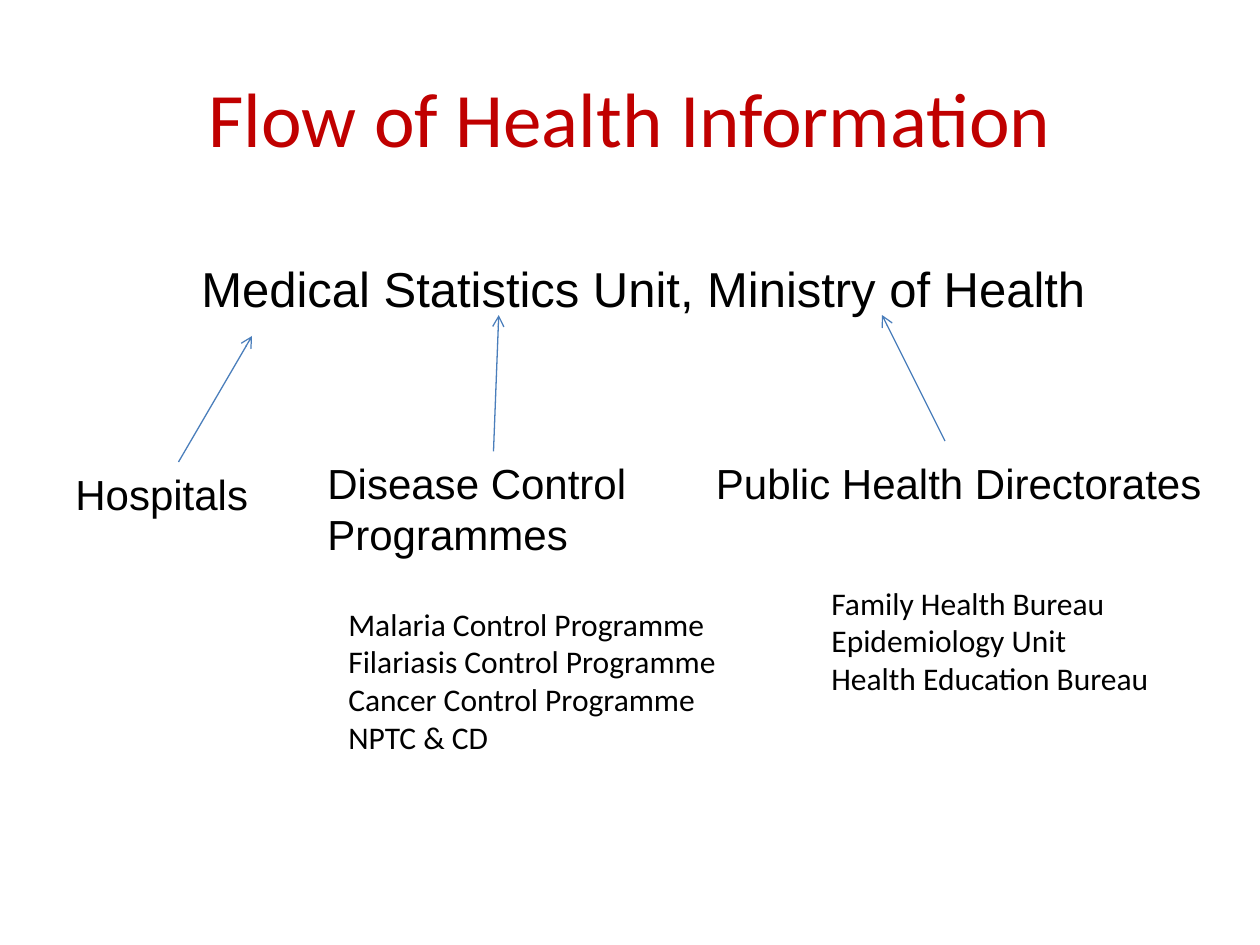
from dataclasses import dataclass

from lxml.etree import SubElement
from pptx import Presentation
from pptx.dml.color import RGBColor as Color
from pptx.enum.shapes import MSO_CONNECTOR as Connector
from pptx.enum.text import MSO_ANCHOR as Anchor, MSO_AUTO_SIZE as AutoSize, PP_ALIGN as Align
from pptx.oxml.ns import qn
from pptx.util import Pt


@dataclass(frozen=True)
class Theme:
    title_color: Color = Color(0xC0, 0x00, 0x00)
    text_color: Color = Color(0x00, 0x00, 0x00)
    arrow_color: Color = Color(0x4A, 0x7E, 0xBB)
    unit_font: str = "Arial"
    list_font: str = "Calibri"
    title_size: float = 44
    unit_size: float = 28
    source_size: float = 24
    list_size: float = 18
    arrow_width: float = 0.75


THEME = Theme()

# Text, then left, top, width and height in points
SOURCES = [
    ("Hospitals", (36, 264, 114, 36)),
    ("Disease Control Programmes", (180, 258, 210, 65)),
    ("Public Health Directorates", (402, 258, 300, 36)),
]
MEMBERS = [
    (["Family Health Bureau", "Epidemiology Unit", "Health Education Bureau"],
     (468, 330, 198, 94)),
    (["Malaria Control Programme", "Filariasis Control Programme",
      "Cancer Control Programme", "NPTC & CD"],
     (192, 342, 246, 94)),
]
# Start x, y and end x, y in points
ARROWS = [(102, 264, 144, 192), (282, 258, 285, 180), (540, 252, 504, 180)]


def set_font(para, name, size, color):
    para.font.name = name
    para.font.size = Pt(size)
    para.font.color.rgb = color


def place_title(page, text):
    title = page.shapes.title
    title.left, title.top, title.width, title.height = Pt(36), Pt(21.6), Pt(648), Pt(90)
    frame = title.text_frame
    frame.text = text
    frame.vertical_anchor = Anchor.MIDDLE
    para = frame.paragraphs[0]
    para.alignment = Align.CENTER
    set_font(para, THEME.list_font, THEME.title_size, THEME.title_color)


def add_text(page, lines, area, font, size):
    frame = page.shapes.add_textbox(*map(Pt, area)).text_frame
    frame.word_wrap = True
    frame.auto_size = AutoSize.SHAPE_TO_FIT_TEXT
    frame.text = "\n".join(lines)
    for para in frame.paragraphs:
        set_font(para, font, size, THEME.text_color)


def add_arrow(page, points):
    arrow = page.shapes.add_connector(Connector.STRAIGHT, *map(Pt, points))
    arrow.line.color.rgb = THEME.arrow_color
    arrow.line.width = Pt(THEME.arrow_width)
    SubElement(arrow.line._get_or_add_ln(), qn("a:tailEnd"), type="arrow")
    SubElement(arrow._element.spPr, qn("a:effectLst"))


def main():
    deck = Presentation()
    deck.slide_width, deck.slide_height = Pt(720), Pt(540)
    page = deck.slides.add_slide(deck.slide_layouts.get_by_name("Title Only"))

    place_title(page, "Flow of Health Information")
    add_text(page, ["Medical Statistics Unit, Ministry of Health"],
             (108, 144, 528, 41), THEME.unit_font, THEME.unit_size)
    for name, area in SOURCES:
        add_text(page, [name], area, THEME.unit_font, THEME.source_size)
    for names, area in MEMBERS:
        add_text(page, names, area, THEME.list_font, THEME.list_size)
    for points in ARROWS:
        add_arrow(page, points)

    deck.save("out.pptx")


if __name__ == "__main__":
    main()
